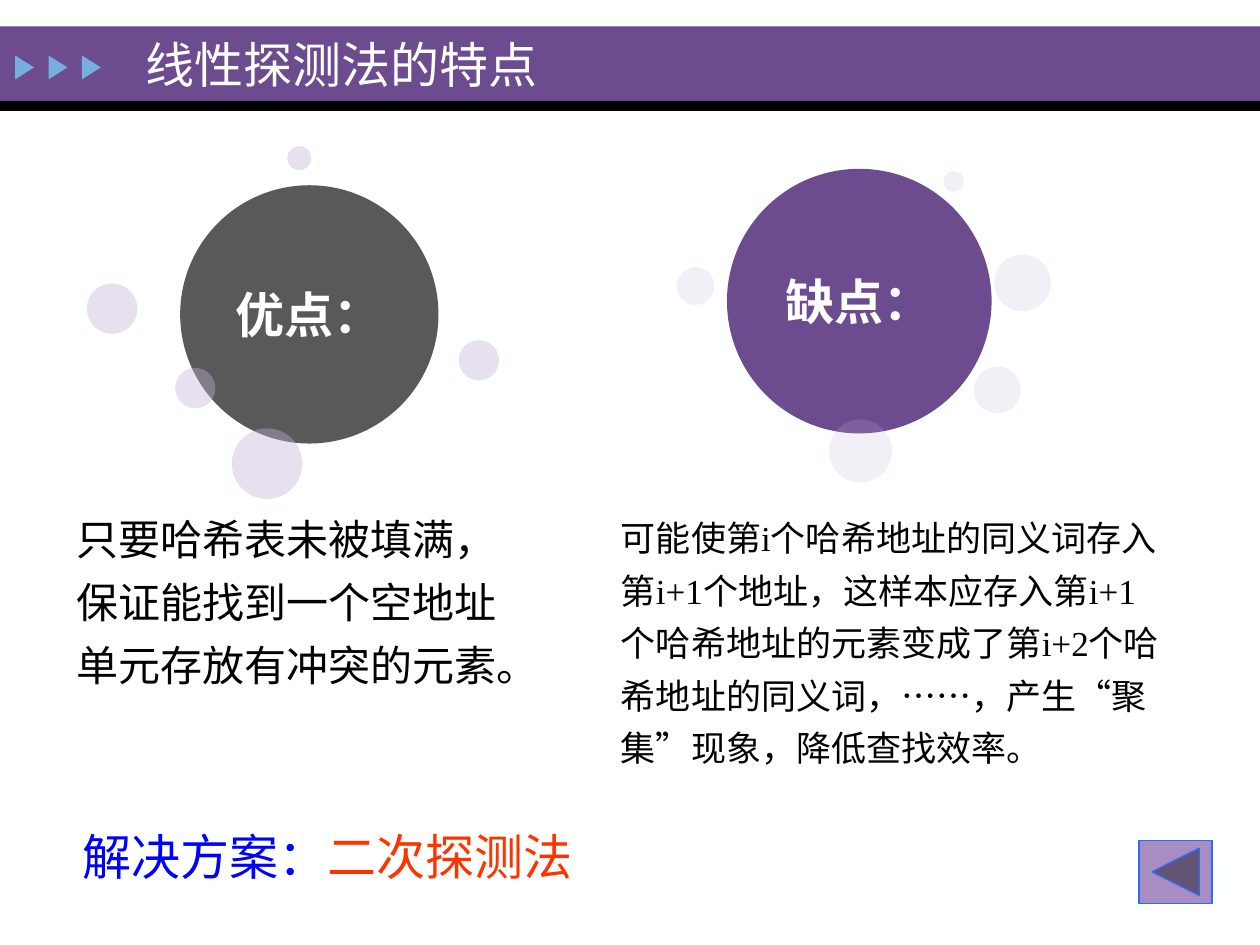
from lxml.etree import SubElement
from pptx import Presentation
from pptx.dml.color import RGBColor
from pptx.enum.lang import MSO_LANGUAGE_ID as Language
from pptx.enum.shapes import MSO_SHAPE as Shape
from pptx.enum.text import MSO_ANCHOR as Anchor, MSO_AUTO_SIZE as AutoSize, PP_ALIGN as Align
from pptx.oxml.ns import qn
from pptx.util import Inches, Pt

COLUMNS, ROWS = 100, 75
CELL = Inches(10) // COLUMNS
FONT = "Times New Roman"
COLORS = {
    "paper": "FEFFFF",
    "purple": "6C4C8F",
    "black": "000000",
    "sky": "76AEDD",
    "gray": "595959",
    "bubble": "C4B3D7",
    "button": "A78DC2",
    "outline": "3366FF",
    "blue": "0000FF",
    "orange": "FF3300",
}
DRAWBACK_BUBBLES = [(53.7, 21.2, 3), (65.8, 33.3, 5), (74.9, 13.6, 1.6),
                    (77.3, 29.1, 3.7), (78.9, 20.2, 4.5)]
ADVANTAGE_BUBBLES = [(36.4, 27, 3.2), (13.9, 29.2, 3.2), (18.4, 34, 5.6),
                     (22.8, 11.6, 1.9), (6.9, 22.5, 4)]


def color(name):
    return RGBColor.from_string(COLORS[name])


def grid(*cells):
    return [round(cell * CELL) for cell in cells]


def add_figure(shapes, kind, box, fill, opacity=100, line=None):
    shape = shapes.add_shape(kind, *grid(*box))
    shape.shadow.inherit = False
    shape.fill.solid()
    shape.fill.fore_color.rgb = color(fill)
    if opacity < 100:
        rgb = shape.fill._xPr.find(qn("a:solidFill"))[0]
        SubElement(rgb, qn("a:alpha"), val=str(opacity * 1000))
    if line:
        shape.line.color.rgb = color(line)
        shape.line.width = Pt(0.75)
    else:
        shape.line.fill.background()
    return shape


def write(frame, parts, size, bold=False, align=Align.LEFT, spacing=None):
    paragraph = frame.paragraphs[0]
    paragraph.alignment = align
    paragraph.line_spacing = spacing
    for text, name in parts:
        run = paragraph.add_run()
        run.text = text
        font = run.font
        font.name = FONT
        font.size = Pt(size)
        font.bold = bold
        font.color.rgb = color(name)
        font.language_id = Language.SIMPLIFIED_CHINESE


def add_text(slide, box, parts, size, anchor=Anchor.TOP, grow=True, spacing=None):
    frame = slide.shapes.add_textbox(*grid(*box)).text_frame
    frame.word_wrap = True
    frame.vertical_anchor = anchor
    frame.auto_size = AutoSize.SHAPE_TO_FIT_TEXT if grow else AutoSize.NONE
    write(frame, parts, size, spacing=spacing)


def add_banner(slide):
    add_figure(slide.shapes, Shape.RECTANGLE, (0, 2.1, COLUMNS, 5.9), "purple")
    add_figure(slide.shapes, Shape.RECTANGLE, (0, 8, COLUMNS, 0.8), "black")
    arrows = slide.shapes.add_group_shape()
    for index in range(3):
        box = (1 + 2.65 * index, 4.6, 1.9, 1.5)
        add_figure(arrows.shapes, Shape.ISOSCELES_TRIANGLE, box, "sky").rotation = 90


def add_cluster(slide, label, circle, fill, bubbles, opacity):
    left, top, diameter = circle
    shapes = slide.shapes.add_group_shape().shapes
    disc = add_figure(shapes, Shape.OVAL, (left, top, diameter, diameter), fill)
    frame = disc.text_frame
    frame.word_wrap = False
    frame.vertical_anchor = Anchor.MIDDLE
    frame.margin_left = frame.margin_right = frame.margin_top = frame.margin_bottom = 0
    write(frame, [(label, "paper")], 28, bold=True, align=Align.CENTER)
    for x, y, size in bubbles:
        add_figure(shapes, Shape.OVAL, (x, y, size, size), "bubble", opacity)


def main():
    presentation = Presentation()
    presentation.slide_width, presentation.slide_height = grid(COLUMNS, ROWS)
    slide = presentation.slides.add_slide(presentation.slide_layouts[6])
    slide.background.fill.solid()
    slide.background.fill.fore_color.rgb = color("paper")

    add_banner(slide)
    add_text(slide, (10.6, 2.3, 44, 5.6), [("线性探测法的特点", "paper")], 28,
             anchor=Anchor.MIDDLE, grow=False)
    add_text(slide, (5.6, 65.1, 48.1, 5.7),
             [("解决方案：", "blue"), ("二次探测法", "orange")], 28)
    add_figure(slide.shapes, Shape.ACTION_BUTTON_BACK_OR_PREVIOUS,
               (90.4, 66.7, 5.8, 5), "button", line="outline")
    add_text(slide, (5.1, 39.3, 36.1, 16.1),
             [("只要哈希表未被填满，保证能找到一个空地址单元存放有冲突的元素。", "black")],
             24, spacing=1.25)
    add_text(slide, (48.3, 39.7, 45, 22),
             [("可能使第i个哈希地址的同义词存入第i+1个地址，这样本应存入第i+1个哈希地址的元素"
               "变成了第i+2个哈希地址的同义词，……，产生“聚集”现象，降低查找效率。", "black")],
             20, spacing=1.25)
    add_cluster(slide, "缺点：", (57.7, 13.4, 21), "purple", DRAWBACK_BUBBLES, 20)
    add_cluster(slide, "优点：", (14.3, 14.7, 20.5), "gray", ADVANTAGE_BUBBLES, 40)
    presentation.save("out.pptx")


if __name__ == "__main__":
    main()
